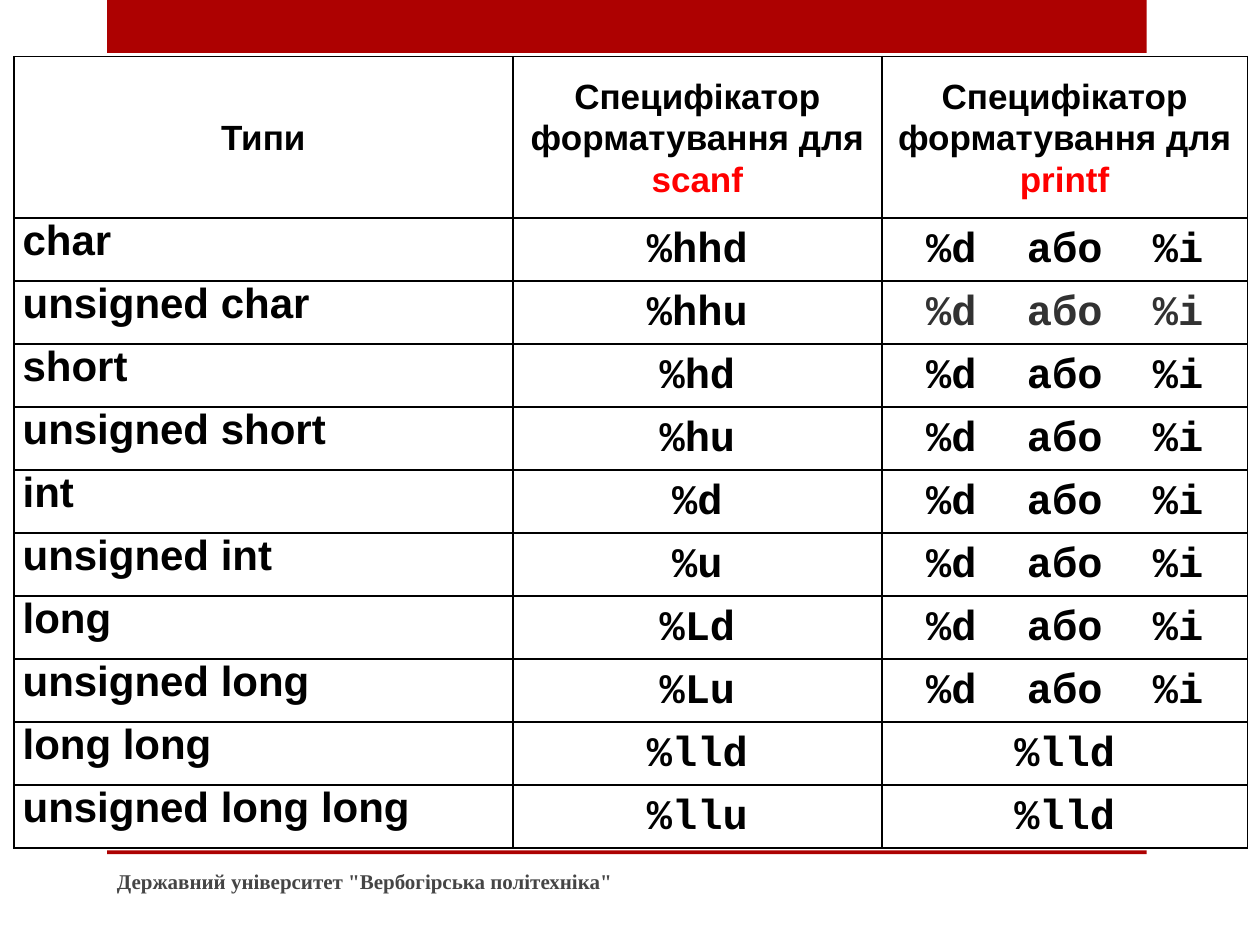
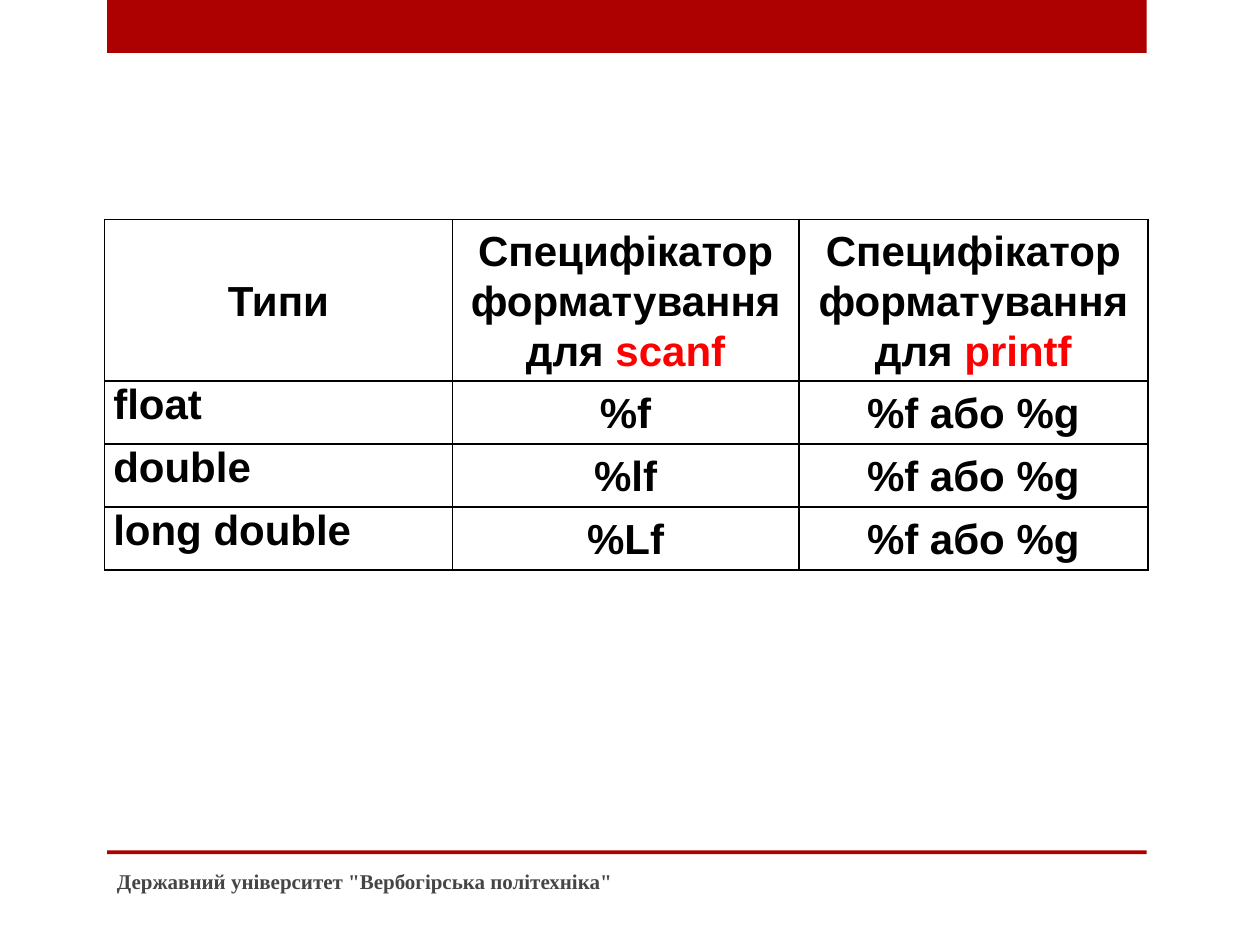
from lxml.etree import SubElement
from pptx import Presentation
from pptx.dml.color import RGBColor
from pptx.enum.shapes import MSO_SHAPE as Preset
from pptx.enum.text import MSO_ANCHOR as Anchor, PP_ALIGN as Align
from pptx.oxml.ns import qn
from pptx.util import Inches, Pt

RED, BLACK, ACCENT = "AD0101", "000000", "FF0000"
DARK, FOOTER_GRAY = "323232", "454545"
SANS, MONO, SERIF = "Arial", "Courier New", "Times New Roman"
FOOTER = 'Державний університет "Вербогірська політехніка"'
HEADING = "Специфікатор форматування для "
HEADER = [[("Типи", BLACK)]] + [
    [(HEADING, BLACK), (name, ACCENT)] for name in ("scanf", "printf")]
CELL_MARGINS = {"margin_left": Inches(0.07), "margin_right": Inches(0.07),
                "margin_top": 0, "margin_bottom": 0}
CENTERED = {"alignment": Align.CENTER, "line_spacing": 1.07,
            "space_before": Pt(3), "space_after": Pt(3)}


def color(value):
    return RGBColor.from_string(value)


def apply(target, values):
    for name, value in values.items():
        setattr(target, name, value)


class Deck:
    """Holds the shared style and the current slide."""

    def __init__(self):
        self.deck = Presentation()
        apply(self.deck, {"slide_width": Inches(10), "slide_height": Inches(7.5)})

    def add_page(self):
        self.page = self.deck.slides.add_slide(self.deck.slide_layouts[6])
        self.add_band(0, 0.42)
        self.add_band(6.75, 0.03)

    def add_band(self, top, height):
        band = self.page.shapes.add_shape(
            Preset.RECTANGLE, Inches(0.85), Inches(top), Inches(8.25), Inches(height))
        band.shadow.inherit = False
        band.fill.solid()
        band.fill.fore_color.rgb = color(RED)
        band.line.fill.background()

    def add_span(self, para, text, size, font, tint):
        span = para.add_run()
        span.text = text
        apply(span.font, {"size": Pt(size), "name": font, "bold": True})
        span.font.color.rgb = color(tint)

    def add_footer(self):
        box = self.page.shapes.add_textbox(
            Inches(0.83), Inches(6.79), Inches(5.33), Inches(0.4))
        frame = box.text_frame
        apply(frame, {"word_wrap": True, "vertical_anchor": Anchor.MIDDLE})
        self.add_span(frame.paragraphs[0], FOOTER, 12, SERIF, FOOTER_GRAY)

    def add_borders(self, cell):
        properties = cell._tc.get_or_add_tcPr()
        for side in ("a:lnL", "a:lnR", "a:lnT", "a:lnB"):
            line = SubElement(properties, qn(side), w=str(Pt(1)))
            fill = SubElement(line, qn("a:solidFill"))
            SubElement(fill, qn("a:srgbClr"), val=BLACK)

    def fill_cell(self, cell, spans, size, font, centered):
        apply(cell, CELL_MARGINS)
        cell.vertical_anchor = Anchor.MIDDLE if centered else Anchor.TOP
        self.add_borders(cell)
        cell.fill.background()
        para = cell.text_frame.paragraphs[0]
        if centered:
            apply(para, CENTERED)
        for text, tint in spans:
            self.add_span(para, text, size, font, tint)

    def add_table(self, left, top, widths, header_height, header_size, code_font, types):
        rows = [HEADER] + [
            [[(name, BLACK)], [(scan, BLACK)], [(out, tint)]]
            for name, scan, out, tint in types]
        heights = [header_height] + [0.5] * len(types)
        frame = self.page.shapes.add_table(
            len(rows), len(widths), Inches(left), Inches(top),
            Inches(sum(widths)), Inches(sum(heights)))
        table = frame.table
        apply(table, {"first_row": False, "horz_banding": False})
        for column, width in zip(table.columns, widths):
            column.width = Inches(width)
        for row, height in zip(table.rows, heights):
            row.height = Inches(height)
        for row_index, row in enumerate(rows):
            for column_index, spans in enumerate(row):
                is_header = row_index == 0
                is_code = not is_header and column_index > 0
                self.fill_cell(
                    table.cell(row_index, column_index), spans,
                    header_size if is_header else 24,
                    code_font if is_code else SANS, is_header or is_code)


INTEGER_OUT, FLOAT_OUT = "%d  або  %i", "%f або %g"
INTEGER_TYPES = [
    ("char", "%hhd", INTEGER_OUT, BLACK),
    ("unsigned char", "%hhu", INTEGER_OUT, DARK),
    ("short", "%hd", INTEGER_OUT, BLACK),
    ("unsigned short", "%hu", INTEGER_OUT, BLACK),
    ("int", "%d", INTEGER_OUT, BLACK),
    ("unsigned int", "%u", INTEGER_OUT, BLACK),
    ("long", "%Ld", INTEGER_OUT, BLACK),
    ("unsigned long", "%Lu", INTEGER_OUT, BLACK),
    ("long long", "%lld", "%lld", BLACK),
    ("unsigned long long", "%llu", "%lld", BLACK),
]
FLOAT_TYPES = [
    (name, scan, FLOAT_OUT, BLACK)
    for name, scan in (("float", "%f"), ("double", "%lf"), ("long double", "%Lf"))]

lecture = Deck()
lecture.add_page()
lecture.add_table(0.11, 0.45, [3.96, 2.93, 2.9], 1.28, 20, MONO, INTEGER_TYPES)
lecture.add_footer()

lecture.add_page()
lecture.add_table(0.83, 1.74, [2.76, 2.75, 2.77], 0.67, 24, SANS, FLOAT_TYPES)
lecture.add_footer()

lecture.deck.save("out.pptx")
